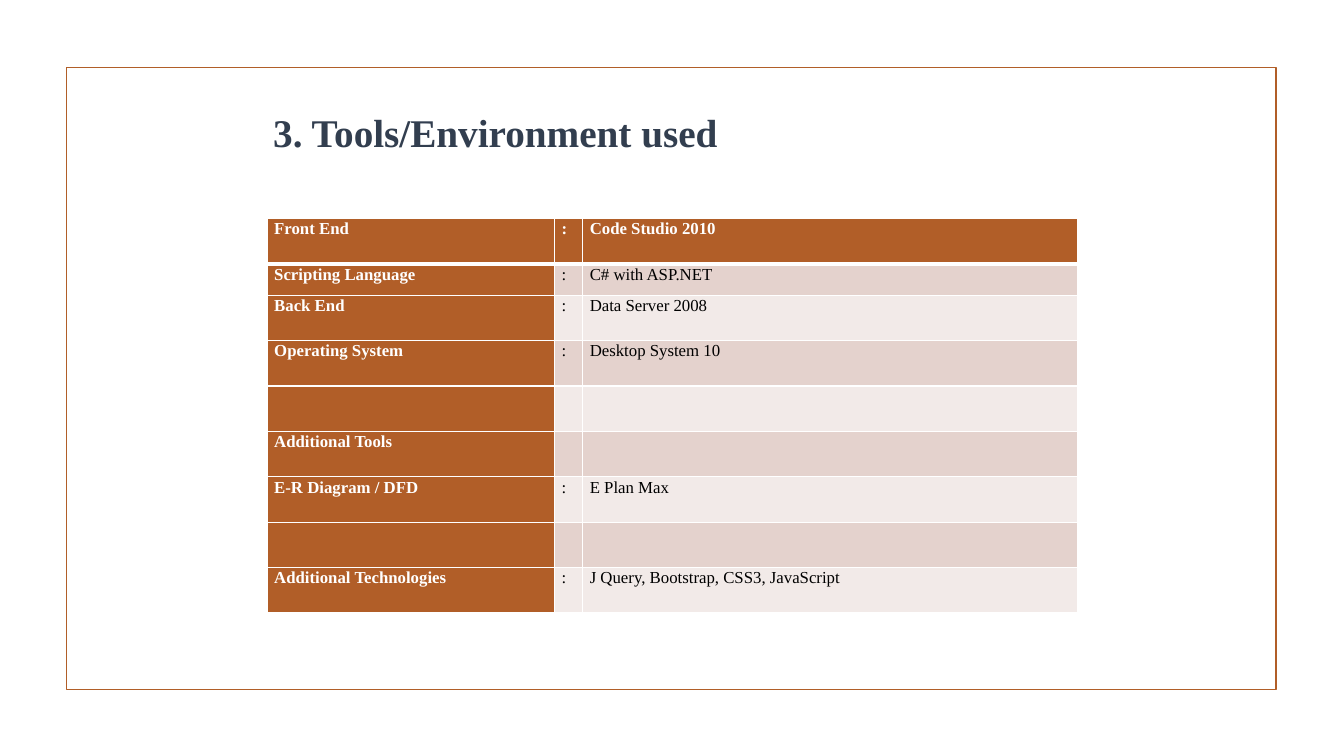
"""Build the tools and environment slide: a framed title and table."""
from dataclasses import dataclass

from lxml.etree import SubElement
from pptx import Presentation
from pptx.dml.color import RGBColor as RGB
from pptx.enum.shapes import MSO_SHAPE as Shape
from pptx.enum.text import MSO_ANCHOR as Anchor, MSO_AUTO_SIZE as AutoSize, PP_ALIGN as Align
from pptx.oxml.ns import qn
from pptx.util import Inches, Pt

TITLE = "3. Tools/Environment used"
TOOLS = [
    ("Front End", ":", "Code Studio 2010"),
    ("Scripting Language", ":", "C# with ASP.NET"),
    ("Back End", ":", "Data Server 2008"),
    ("Operating System", ":", "Desktop System 10"),
    ("", "", ""),
    ("Additional Tools", "", ""),
    ("E-R Diagram / DFD", ":", "E Plan Max"),
    ("", "", ""),
    ("Additional Technologies", ":", "J Query, Bootstrap, CSS3, JavaScript"),
]
COLUMN_WIDTHS = (2.85, 0.28, 4.91)
ROW_HEIGHT, SCRIPTING_HEIGHT = 0.45, 0.31
TABLE_LEFT, TABLE_TOP = 2.65, 2.17


@dataclass(frozen=True)
class Theme:
    font: str = "Times New Roman"
    accent: str = "B15E28"
    title: str = "323E4F"
    text: str = "000000"
    white: str = "FFFFFF"
    bands: tuple = ("F2EAE8", "E4D2CD")
    title_size: int = 28
    cell_size: int = 12
    frame_line: float = 1.25
    cell_line: int = 1
    header_line: int = 3


THEME = Theme()


def write(paragraph, text, *, size, color, bold=False, spacing=1.0, after=0):
    paragraph.alignment = Align.LEFT
    paragraph.line_spacing = spacing
    paragraph.space_after = Pt(after)
    paragraph.font.size = Pt(size)
    if text:
        run = paragraph.add_run()
        run.text = text
        run.font.name, run.font.size, run.font.bold = THEME.font, Pt(size), bold
        run.font.color.rgb = RGB.from_string(color)


def add_frame(slide):
    frame = slide.shapes.add_shape(
        Shape.RECTANGLE, Inches(0.66), Inches(0.67), Inches(12), Inches(6.17))
    frame.shadow.inherit = False
    frame.fill.background()
    frame.line.color.rgb = RGB.from_string(THEME.accent)
    frame.line.width = Pt(THEME.frame_line)


def add_title(slide):
    title = slide.shapes.title
    title.left, title.top = Inches(2.38), Inches(0.99)
    title.width, title.height = Inches(5.41), Inches(0.88)
    body = title.text_frame
    body.word_wrap, body.auto_size = True, AutoSize.NONE
    body.vertical_anchor = Anchor.TOP
    body.margin_top = Inches(0.08)
    heading = body.paragraphs[0]
    write(heading, TITLE, size=THEME.title_size, color=THEME.title, bold=True)
    heading._p.get_or_add_pPr().set("indent", str(Inches(0.23)))


def add_borders(cell, top, bottom):
    sides = {"lnL": THEME.cell_line, "lnR": THEME.cell_line, "lnT": top, "lnB": bottom}
    properties = cell._tc.get_or_add_tcPr()
    for side, width in sides.items():
        border = SubElement(properties, qn(f"a:{side}"), w=str(Pt(width)))
        fill = SubElement(border, qn("a:solidFill"))
        SubElement(fill, qn("a:srgbClr"), val=THEME.white)


def format_cell(cell, text, row, column):
    strong = row == 0 or column == 0
    top = THEME.header_line if row == 1 else THEME.cell_line
    bottom = THEME.header_line if row == 0 else THEME.cell_line
    cell.margin_left = cell.margin_right = Inches(0.07)
    cell.margin_top = cell.margin_bottom = 0
    add_borders(cell, top, bottom)
    cell.fill.solid()
    cell.fill.fore_color.rgb = RGB.from_string(THEME.accent if strong else THEME.bands[row % 2])
    write(cell.text_frame.paragraphs[0], text, size=THEME.cell_size, bold=strong,
          color=THEME.white if strong else THEME.text, spacing=1.07, after=8)


def add_tools(slide):
    heights = [SCRIPTING_HEIGHT if row == 1 else ROW_HEIGHT for row in range(len(TOOLS))]
    table = slide.shapes.add_table(
        len(TOOLS), len(COLUMN_WIDTHS), Inches(TABLE_LEFT), Inches(TABLE_TOP),
        Inches(sum(COLUMN_WIDTHS)), Inches(sum(heights))).table
    for column, width in zip(table.columns, COLUMN_WIDTHS):
        column.width = Inches(width)
    for row, (entry, height) in enumerate(zip(TOOLS, heights)):
        table.rows[row].height = Inches(height)
        for column, text in enumerate(entry):
            format_cell(table.cell(row, column), text, row, column)


def main():
    deck = Presentation()
    deck.slide_width, deck.slide_height = Inches(13.33), Inches(7.5)
    slide = deck.slides.add_slide(deck.slide_layouts[5])
    add_frame(slide)
    add_tools(slide)
    add_title(slide)
    deck.save("out.pptx")


if __name__ == "__main__":
    main()
